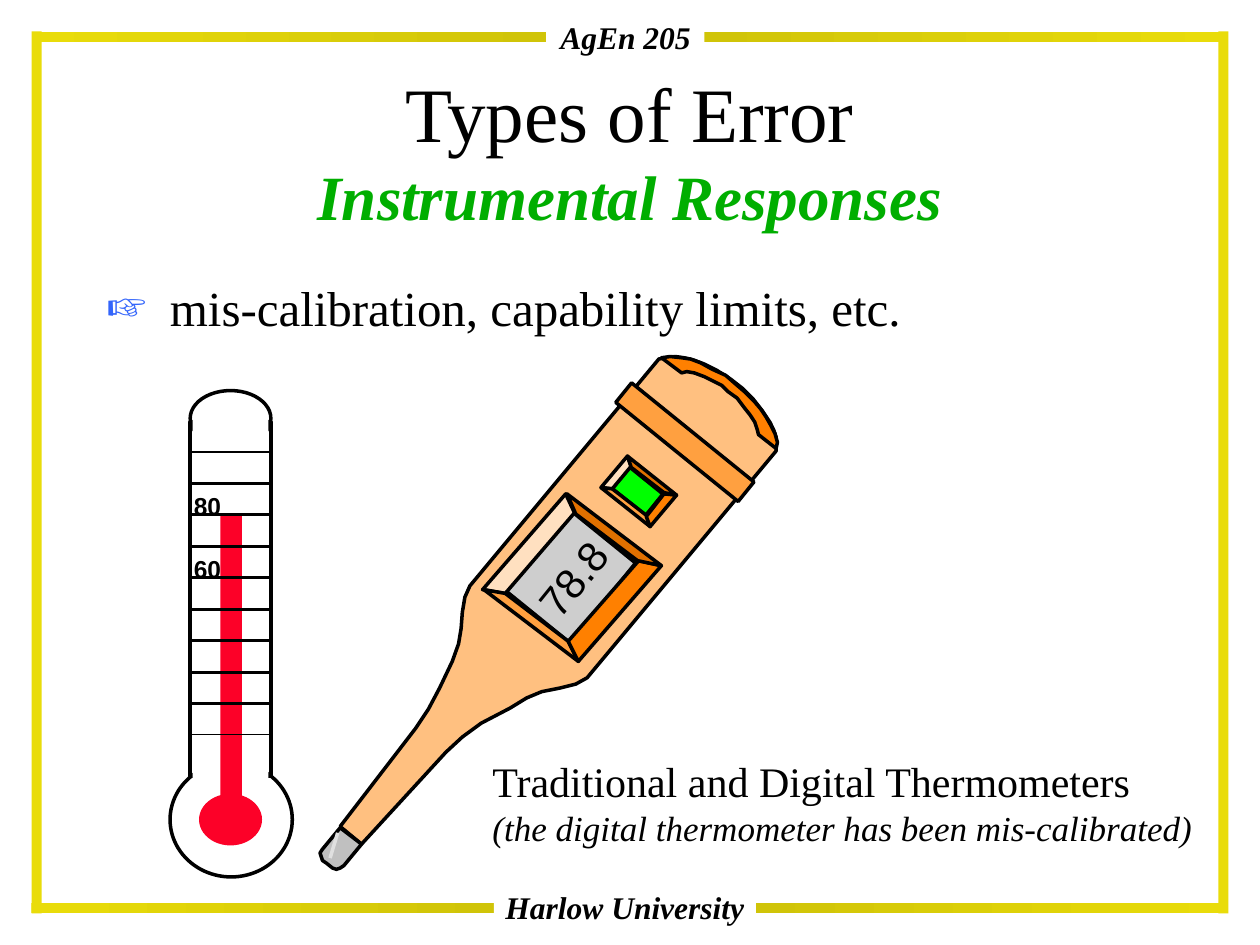
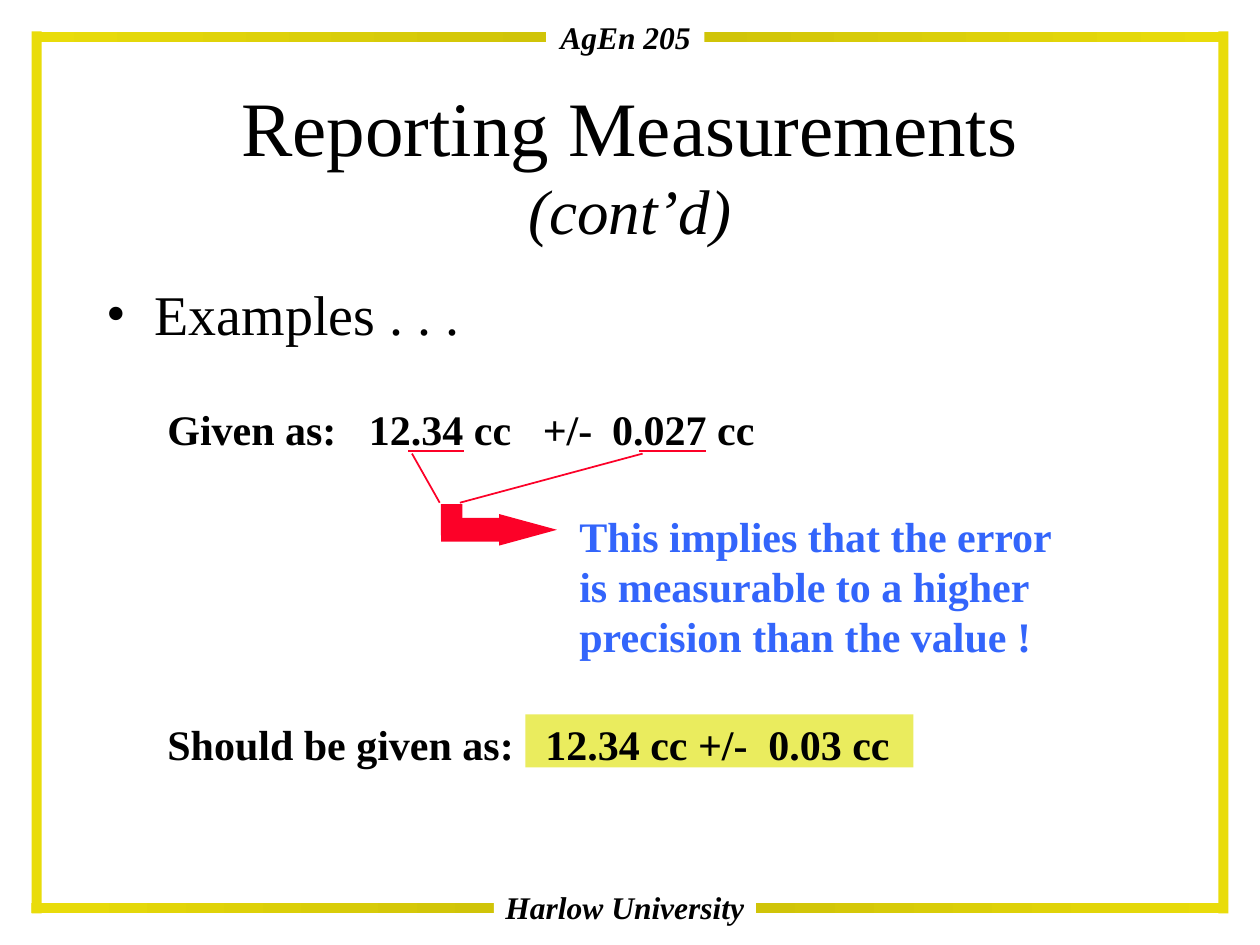
"""Build two lecture slides on measurement error and reporting precision."""
from dataclasses import dataclass

from lxml import etree
from pptx import Presentation
from pptx.dml.color import RGBColor
from pptx.enum.shapes import MSO_CONNECTOR, MSO_SHAPE
from pptx.enum.text import MSO_ANCHOR, PP_ALIGN
from pptx.oxml.ns import qn
from pptx.util import Inches, Pt

RECT, OVAL, ARROW = MSO_SHAPE.RECTANGLE, MSO_SHAPE.OVAL, MSO_SHAPE.RIGHT_ARROW
STRAIGHT = MSO_CONNECTOR.STRAIGHT
LEFT, CENTER, JUSTIFY = PP_ALIGN.LEFT, PP_ALIGN.CENTER, PP_ALIGN.JUSTIFY
TOP, MIDDLE = MSO_ANCHOR.TOP, MSO_ANCHOR.MIDDLE


@dataclass(frozen=True)
class Theme:
    """Colours and type sizes shared by the slides."""
    serif: str = "Times New Roman"
    sans: str = "Arial"
    ink: str = "000000"
    paper: str = "FFFFFF"
    gold: str = "E9DC0A"
    dark_gold: str = "D0C408"
    highlight: str = "EAEC5E"
    green: str = "00AE00"
    blue: str = "3365FB"
    red: str = "FC0128"
    body: str = "FFC080"
    trim: str = "FFA040"
    shade: str = "FF8000"
    deep_shade: str = "E07000"
    glow: str = "FFE0C0"
    screen: str = "CECECE"
    button: str = "00FF00"
    tip: str = "C0C0C0"
    glint: str = "E0E0E0"
    title: int = 44
    subtitle: int = 36
    bullet: int = 32
    small_bullet: int = 28
    text: int = 24
    note: int = 20
    band: int = 18
    scale: int = 14


THEME = Theme()


def style(size, color=THEME.ink, name=THEME.serif, bold=False, italic=False):
    """Return the font values of one text style."""
    return {"size": Pt(size), "name": name, "bold": bold, "italic": italic, "color": color}


STYLES = {
    "band": style(THEME.band, bold=True, italic=True),
    "title": style(THEME.title),
    "green subtitle": style(THEME.subtitle, THEME.green, bold=True, italic=True),
    "subtitle": style(THEME.subtitle, italic=True),
    "bullet": style(THEME.bullet),
    "small bullet": style(THEME.small_bullet),
    "caption": style(THEME.text),
    "note": style(THEME.note, italic=True),
    "strong": style(THEME.text, bold=True),
    "remark": style(THEME.text, THEME.blue, bold=True),
    "scale": style(THEME.scale, name=THEME.sans, bold=True),
    "display": style(THEME.text, name=THEME.sans),
}

BAND = 0.08
FRAME_LEFT, FRAME_TOP, FRAME_RIGHT, FRAME_BOTTOM = 0.25, 0.25, 9.75, 7.25
BAND_LABELS = [
    ("AgEn 205", (4.34, 0.09, 1.25, 0.4), FRAME_TOP, 4.33, 5.58),
    ("Harlow University", (3.92, 7, 2.08, 0.4), FRAME_BOTTOM - BAND, 3.92, 6),
]

ERROR_TITLE = [("Types of Error", "title"), ("Instrumental Responses", "green subtitle")]
REPORT_TITLE = [("Reporting Measurements", "title"), ("(cont’d)", "subtitle")]
ERROR_BULLET = "mis-calibration, capability limits, etc."
CAPTION = [
    ("Traditional and Digital Thermometers", "caption"),
    ("(the digital thermometer has been mis-calibrated)", "note"),
]

GLASS_PARTS = [
    (OVAL, (1.51, 3.1, 0.64, 0.44), None, 2),
    (OVAL, (1.35, 6.05, 0.97, 0.91), None, 2),
    (RECT, (1.51, 3.35, 0.64, 2.81), None, 2),
    (RECT, (1.53, 5.93, 0.6, 0.32), THEME.paper, 0),
    (RECT, (1.53, 3.3, 0.6, 0.27), THEME.paper, 0),
    (RECT, (1.75, 4.08, 0.17, 2.31), THEME.red, 0),
    (OVAL, (1.58, 6.3, 0.5, 0.41), THEME.red, 0),
]
SCALE_TOP, SCALE_STEP, SCALE_ROWS = 3.59, 0.25, 9
SCALE_LABELS = [("80", 3.85), ("60", 4.35)]

CASE = [
    (2.7, 6.56), (3.3, 5.78), (3.4, 5.63), (3.49, 5.46), (3.59, 5.25), (3.64, 5.11),
    (3.66, 4.99), (3.67, 4.86), (3.69, 4.74), (3.73, 4.65), (5.23, 2.85), (5.29, 2.84),
    (5.36, 2.83), (5.43, 2.84), (5.51, 2.86), (5.59, 2.89), (5.69, 2.94), (5.8, 3.01),
    (5.89, 3.08), (5.98, 3.17), (6.05, 3.26), (6.11, 3.35), (6.14, 3.41), (6.16, 3.47),
    (6.16, 3.58), (4.66, 5.38), (4.57, 5.43), (4.45, 5.46), (4.3, 5.49), (4.18, 5.54),
    (4.05, 5.62), (3.82, 5.74), (3.67, 5.85), (3.54, 5.97), (2.87, 6.7),
]
PROBE_TIP = [
    (2.7, 6.57), (2.56, 6.74), (2.54, 6.77), (2.55, 6.8), (2.56, 6.83), (2.59, 6.85),
    (2.64, 6.89), (2.67, 6.9), (2.7, 6.89), (2.73, 6.87), (2.87, 6.7),
]
CAP_EDGE = [
    (5.41, 2.96), (5.45, 2.95), (5.51, 2.96), (5.59, 2.99), (5.65, 3.02), (5.73, 3.06),
    (5.78, 3.11), (5.85, 3.16), (5.91, 3.24), (5.95, 3.29), (5.99, 3.35), (6.01, 3.41),
    (6.02, 3.45), (6.16, 3.56), (6.17, 3.51), (6.15, 3.44), (6.12, 3.38), (6.08, 3.31),
    (6.04, 3.25), (5.99, 3.19), (5.91, 3.11), (5.84, 3.05), (5.76, 2.98), (5.65, 2.93),
    (5.56, 2.88), (5.48, 2.85), (5.41, 2.84), (5.32, 2.83), (5.25, 2.84),
]
TILT = 39
COLLAR = (4.81, 3.41, 1.25, 0.2)
BUTTON = (4.89, 3.79, 0.34, 0.22)
SCREEN = (4.2, 4.17, 0.66, 0.82)
BEVEL_COLORS = [THEME.glow, THEME.trim, THEME.shade, THEME.deep_shade]
BUTTON_BEVELS = [
    [(4.98, 3.62), (5.01, 3.7), (4.86, 3.88), (4.77, 3.87)],
    [(4.77, 3.87), (4.86, 3.88), (5.13, 4.09), (5.16, 4.18)],
    [(5.16, 4.18), (5.13, 4.1), (5.27, 3.92), (5.37, 3.93)],
    [(4.98, 3.62), (5.01, 3.71), (5.27, 3.91), (5.37, 3.93)],
]
SCREEN_BEVELS = [
    [(4.49, 3.92), (4.56, 4.07), (4.01, 4.71), (3.83, 4.68)],
    [(3.84, 4.68), (4.01, 4.71), (4.51, 5.09), (4.59, 5.25)],
    [(4.59, 5.25), (4.51, 5.09), (5.07, 4.45), (5.25, 4.49)],
    [(4.5, 3.92), (4.57, 4.08), (5.06, 4.45), (5.25, 4.49)],
]

READINGS = [
    ("Should be given as:\t12.34 cc +/-\t0.03 cc", (1.23, 5.65, 6.1, 0.5), (3, 4.77)),
    ("Given as:\t12.34 cc\t+/-\t0.027 cc", (1.23, 3.15, 5.01, 0.5), (1.6, 2.98, 3.53)),
]
REMARK = "This implies that the error is measurable to a higher precision than the value !"
DIGIT_LINES = [
    ((3.68, 3.58), (3.24, 3.58)), ((3.27, 3.6), (3.49, 3.99)),
    ((5.6, 3.58), (5.07, 3.58)), ((5.1, 3.6), (3.65, 3.99)),
]


def inches(values):
    """Convert a sequence of numbers to lengths."""
    return [Inches(value) for value in values]


def paint(shape, fill, width):
    """Set the fill and outline of a shape and drop its shadow."""
    shape.shadow.inherit = False
    if fill:
        shape.fill.solid()
        shape.fill.fore_color.rgb = RGBColor.from_string(fill)
    else:
        shape.fill.background()
    if width:
        shape.line.width = Pt(width)
        shape.line.color.rgb = RGBColor.from_string(THEME.ink)
    else:
        shape.line.fill.background()
    return shape


def add_part(page, kind, frame, fill=None, width=0, turn=0):
    """Add a preset shape."""
    shape = paint(page.shapes.add_shape(kind, *inches(frame)), fill, width)
    shape.rotation = turn
    return shape


def add_outline(page, points, fill):
    """Add a closed freeform with a black outline."""
    corners = [inches(point) for point in points]
    builder = page.shapes.build_freeform(*corners[0])
    builder.add_line_segments(corners[1:], close=True)
    return paint(builder.convert_to_shape(), fill, 2)


def add_line(page, start, end, color, width):
    """Add a straight line without a shadow."""
    line = page.shapes.add_connector(STRAIGHT, *inches(start + end))
    line.line.color.rgb = RGBColor.from_string(color)
    line.line.width = Pt(width)
    etree.SubElement(line._element.spPr, qn("a:effectLst"))


def write(box, lines, align=LEFT, anchor=TOP, wrap=True, before=0):
    """Fill a box with one styled paragraph for each line."""
    frame = box.text_frame
    frame.word_wrap = wrap
    frame.vertical_anchor = anchor
    for index, (text, name) in enumerate(lines):
        para = frame.paragraphs[0] if index == 0 else frame.add_paragraph()
        para.alignment = align
        para.space_before = Pt(before)
        span = para.add_run()
        span.text = text
        for key, value in STYLES[name].items():
            if key == "color":
                span.font.color.rgb = RGBColor.from_string(value)
            else:
                setattr(span.font, key, value)
    return box


def add_text(page, frame, lines, **layout):
    """Add a text box."""
    return write(page.shapes.add_textbox(*inches(frame)), lines, **layout)


def set_bullet(box, mark, color, indent):
    """Give the first paragraph a coloured bullet and a hanging indent."""
    props = box.text_frame.paragraphs[0]._p.get_or_add_pPr()
    props.set("marL", str(Inches(indent)))
    props.set("indent", str(-Inches(indent)))
    tint = etree.SubElement(props, qn("a:buClr"))
    etree.SubElement(tint, qn("a:srgbClr"), val=color)
    etree.SubElement(props, qn("a:buFont"), typeface=THEME.serif)
    etree.SubElement(props, qn("a:buChar"), char=mark)


def set_tabs(box, stops):
    """Give the first paragraph left tab stops."""
    props = box.text_frame.paragraphs[0]._p.get_or_add_pPr()
    tabs = etree.SubElement(props, qn("a:tabLst"))
    for stop in stops:
        etree.SubElement(tabs, qn("a:tab"), pos=str(Inches(stop)), algn="l")


def add_page(deck, title, title_top):
    """Add a page with the gold frame, band labels and title."""
    page = deck.slides.add_slide(deck.slide_layouts[6])
    for left in (FRAME_LEFT, FRAME_RIGHT - BAND):
        add_part(page, RECT, (left, FRAME_TOP, BAND, FRAME_BOTTOM - FRAME_TOP), THEME.gold)
    for label, frame, top, gap_left, gap_right in BAND_LABELS:
        for left, right, colors in (
            (FRAME_LEFT, gap_left, (THEME.gold, THEME.dark_gold)),
            (gap_right, FRAME_RIGHT, (THEME.dark_gold, THEME.gold)),
        ):
            bar = add_part(page, RECT, (left, top, right - left, BAND), THEME.gold)
            bar.fill.gradient()
            bar.fill.gradient_angle = 0
            for stop, color in zip(bar.fill.gradient_stops, colors):
                stop.color.rgb = RGBColor.from_string(color)
        plate = add_part(page, RECT, frame, THEME.paper)
        write(plate, [(label, "band")], align=CENTER, wrap=False, before=11.2)
    add_text(page, (0.75, title_top, 8.5, 1.25), title, align=CENTER, anchor=MIDDLE)
    return page


def draw_glass_thermometer(page):
    """Draw the traditional thermometer with its scale."""
    for kind, frame, fill, width in GLASS_PARTS:
        add_part(page, kind, frame, fill, width)
    for row in range(SCALE_ROWS):
        add_part(page, RECT, (1.51, SCALE_TOP + row * SCALE_STEP, 0.65, 0.24), width=1)
    for label, top in SCALE_LABELS:
        add_text(page, (1.44, top, 0.5, 0.33), [(label, "scale")])


def draw_digital_thermometer(page):
    """Draw the tilted digital thermometer with its reading."""
    add_outline(page, CASE, THEME.body)
    add_outline(page, PROBE_TIP, THEME.tip)
    add_line(page, (2.62, 6.81), (2.68, 6.61), THEME.glint, 2)
    add_part(page, RECT, COLLAR, THEME.trim, 2, TILT)
    add_outline(page, CAP_EDGE, THEME.shade)
    for face, fill, bevels in (
        (BUTTON, THEME.button, BUTTON_BEVELS),
        (SCREEN, THEME.screen, SCREEN_BEVELS),
    ):
        add_part(page, RECT, face, fill, 2, TILT)
        for points, color in zip(bevels, BEVEL_COLORS):
            add_outline(page, points, color)
    reading = add_text(page, (4.12, 4.34, 0.85, 0.5), [("78.8", "display")], wrap=False)
    reading.rotation = 309


def build_error_page(deck):
    """Build the page on instrumental responses."""
    page = add_page(deck, ERROR_TITLE, 0.56)
    box = add_text(page, (0.75, 2.15, 8.58, 0.6), [(ERROR_BULLET, "small bullet")],
                   align=JUSTIFY, before=7)
    set_bullet(box, "☞", THEME.blue, 0.5)
    draw_glass_thermometer(page)
    draw_digital_thermometer(page)
    add_text(page, (3.81, 5.95, 5.76, 0.83), CAPTION, wrap=False)


def build_report_page(deck):
    """Build the page on reporting measurements."""
    page = add_page(deck, REPORT_TITLE, 0.67)
    box = add_text(page, (0.75, 2.17, 8.5, 0.67), [("Examples . . .", "bullet")], before=8)
    set_bullet(box, "•", THEME.ink, 0.38)
    add_part(page, RECT, (4.17, 5.67, 3.08, 0.42), THEME.highlight)
    for text, frame, stops in READINGS:
        set_tabs(add_text(page, frame, [(text, "strong")]), stops)
    arrow = add_part(page, ARROW, (3.5, 4.08, 0.92, 0.25), THEME.red)
    arrow.adjustments[0], arrow.adjustments[1] = 0.75, 1.83
    add_text(page, (4.5, 4, 4.16, 1.3), [(REMARK, "remark")])
    for start, end in DIGIT_LINES:
        add_line(page, start, end, THEME.red, 1)
    add_part(page, RECT, (3.5, 4, 0.17, 0.25), THEME.red)


def main():
    """Build and save the deck."""
    deck = Presentation()
    deck.slide_width, deck.slide_height = inches((10, 7.5))
    build_error_page(deck)
    build_report_page(deck)
    deck.save("out.pptx")


if __name__ == "__main__":
    main()
